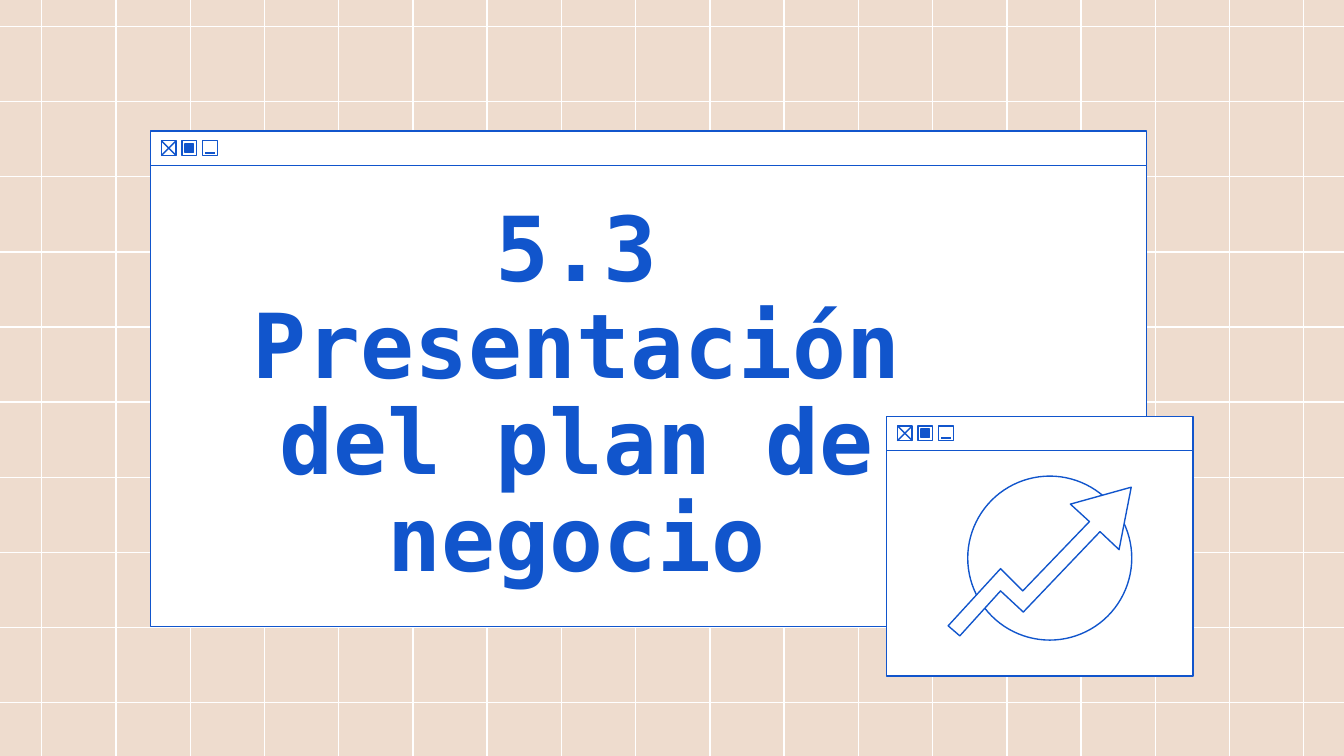
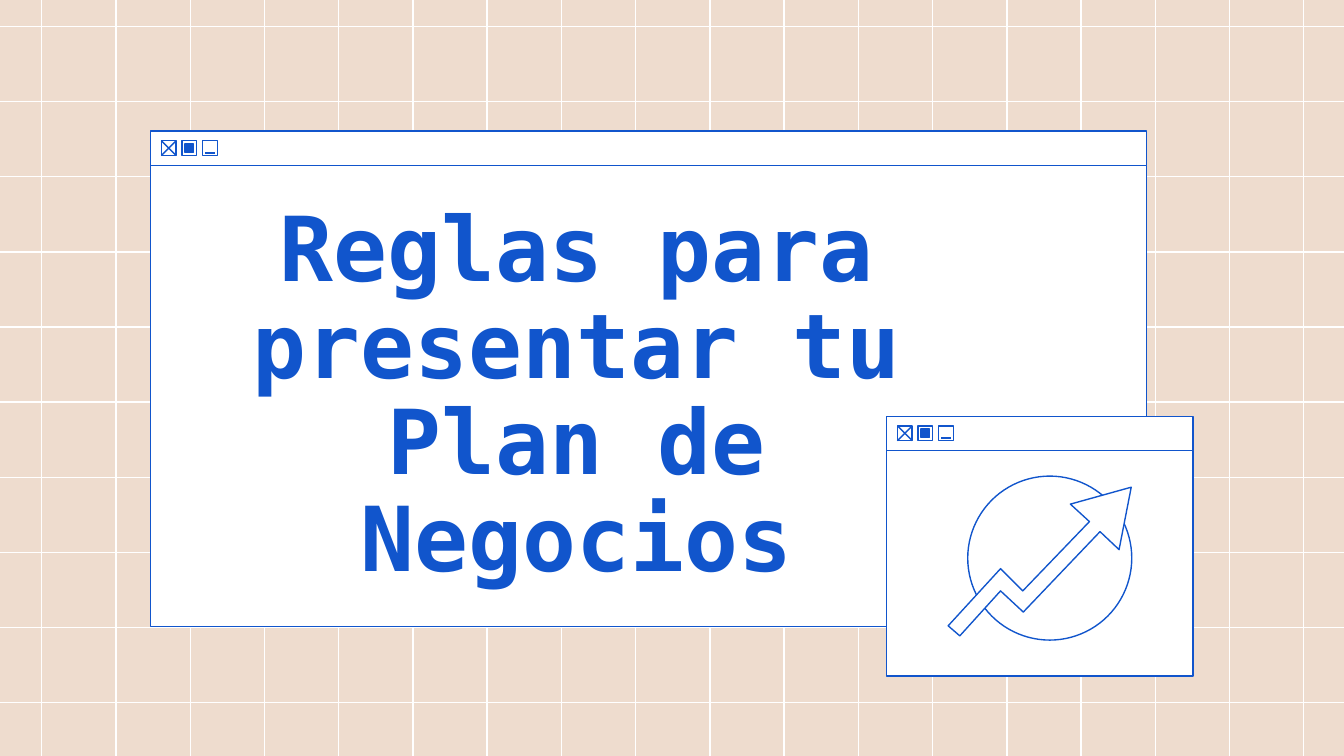
from lxml import etree
from pptx import Presentation
from pptx.dml.color import RGBColor
from pptx.enum import shapes, text
from pptx.oxml import ns
from pptx.util import Cm, Pt

SAND, WHITE, BLUE = "EEDCCE", "FFFFFF", "1155CC"
FONT = "DejaVu Sans Mono"
WIDTH, HEIGHT = 25.4, 14.29
MAIN_WINDOW = (2.85, 2.48, 18.82, 9.37)
ICON_WINDOW = (16.76, 7.87, 5.79, 4.91)
TITLE_BOX = (3.73, 3.45, 14.33, 8.13)
BAR = 0.65
BUTTON, BUTTON_STEP = 0.28, 0.39
ARROW = [(4.62, 1.34), (3.47, 1.66), (3.83, 1.99), (2.57, 3.3), (2.15, 2.88),
         (1.16, 3.96), (1.38, 4.15), (2.15, 3.3), (2.58, 3.7), (4.03, 2.18),
         (4.39, 2.52)]
TITLES = ["5.3\nPresentación del plan de negocio",
          "Reglas para presentar tu Plan de Negocios"]


def rgb(value):
    return RGBColor.from_string(value)


def style(sp, fill=None, line=BLUE):
    sp.shadow.inherit = False
    if fill:
        sp.fill.solid()
        sp.fill.fore_color.rgb = rgb(fill)
    else:
        sp.fill.background()
    sp.line.color.rgb = rgb(line)
    sp.line.width = Pt(0.75)


def add_preset(parent, kind, x, y, w, h, fill=None):
    sp = parent.add_shape(kind, Cm(x), Cm(y), Cm(w), Cm(h))
    style(sp, fill)


def add_rect(parent, *box, fill=None):
    add_preset(parent, shapes.MSO_SHAPE.RECTANGLE, *box, fill=fill)


def add_line(parent, x1, y1, x2, y2, color=BLUE):
    line = parent.add_connector(shapes.MSO_CONNECTOR.STRAIGHT,
                                Cm(x1), Cm(y1), Cm(x2), Cm(y2))
    line.line.color.rgb = rgb(color)
    line.line.width = Pt(0.75)
    etree.SubElement(line.element.spPr, ns.qn("a:effectLst"))


def set_text(tf, content, size=48, color=BLUE, font=FONT, bold=True,
             align=text.PP_ALIGN.CENTER, anchor=text.MSO_ANCHOR.MIDDLE,
             spacing=0.9, inset=0.25):
    tf.word_wrap = True
    tf.auto_size = text.MSO_AUTO_SIZE.NONE
    tf.vertical_anchor = anchor
    tf.margin_left = tf.margin_right = Cm(inset)
    tf.margin_top = tf.margin_bottom = Cm(inset)
    p = tf.paragraphs[0]
    p.text = content
    p.alignment = align
    p.line_spacing = spacing
    for r in p.runs:
        r.font.name, r.font.size, r.font.bold = font, Pt(size), bold
        r.font.color.rgb = rgb(color)


def spread(first, last, count):
    """Return count evenly spaced positions from first to last."""
    return [first + i * (last - first) / (count - 1) for i in range(count)]


def draw_grid(parent):
    for x in spread(0.79, 24.64, 18):
        add_line(parent, x, 0, x, HEIGHT, WHITE)
    for y in spread(0.5, 13.28, 10):
        add_line(parent, WIDTH, y, 0, y, WHITE)


def draw_buttons(parent, x, y):
    """Draw the close, maximise and minimise buttons."""
    close, maximise, minimise = [x + i * BUTTON_STEP for i in range(3)]
    for left in (close, maximise, minimise):
        add_rect(parent, left, y, BUTTON, BUTTON)
    add_line(parent, close, y, close + BUTTON, y + BUTTON)
    add_line(parent, close + BUTTON, y, close, y + BUTTON)
    add_rect(parent, maximise + 0.06, y + 0.06, 0.16, 0.16, fill=BLUE)
    add_line(parent, minimise + 0.05, y + 0.23, minimise + 0.23, y + 0.23)


def draw_window(s, x, y, w, h):
    parent = s.shapes.add_group_shape().shapes
    add_rect(parent, x, y + BAR, w, h - BAR, fill=WHITE)
    add_rect(parent, x, y, w, BAR, fill=WHITE)
    draw_buttons(parent, x + 0.2, y + 0.18)


def draw_growth_icon(s, x, y):
    """Draw a rising arrow over a disc, measured from the window's corner."""
    parent = s.shapes.add_group_shape().shapes
    add_preset(parent, shapes.MSO_SHAPE.OVAL, x + 1.53, y + 1.13, 3.1, 3.1, WHITE)
    points = [(Cm(x + dx), Cm(y + dy)) for dx, dy in ARROW]
    builder = parent.build_freeform(*points[0])
    builder.add_line_segments(points[1:], close=True)
    style(builder.convert_to_shape(), WHITE)


def prepare_layout(prs):
    """Keep only the title placeholder, and set its box and the background."""
    layout = prs.slide_layouts.get_by_name("Title Only")
    layout.background.fill.solid()
    layout.background.fill.fore_color.rgb = rgb(SAND)
    for ph in list(layout.placeholders):
        if ph.placeholder_format.type != shapes.PP_PLACEHOLDER.TITLE:
            layout.shapes.element.remove(ph.element)
    return layout


def add_section_slide(prs, layout, title):
    s = prs.slides.add_slide(layout)
    draw_window(s, *MAIN_WINDOW)
    sp = s.shapes.title
    sp.left, sp.top, sp.width, sp.height = [Cm(v) for v in TITLE_BOX]
    set_text(sp.text_frame, title)
    s.shapes.element.append(sp.element)  # brings the title above its window
    draw_window(s, *ICON_WINDOW)
    draw_growth_icon(s, *ICON_WINDOW[:2])
    return s


def main():
    prs = Presentation()
    prs.slide_width, prs.slide_height = Cm(WIDTH), Cm(HEIGHT)
    layout = prepare_layout(prs)
    slides = [add_section_slide(prs, layout, title) for title in TITLES]
    # Layouts cannot create shapes, so the grid is drawn on a slide and moved.
    grid = slides[0].shapes.add_group_shape()
    draw_grid(grid.shapes)
    layout.shapes.element.append(grid.element)
    prs.save("out.pptx")


if __name__ == "__main__":
    main()
